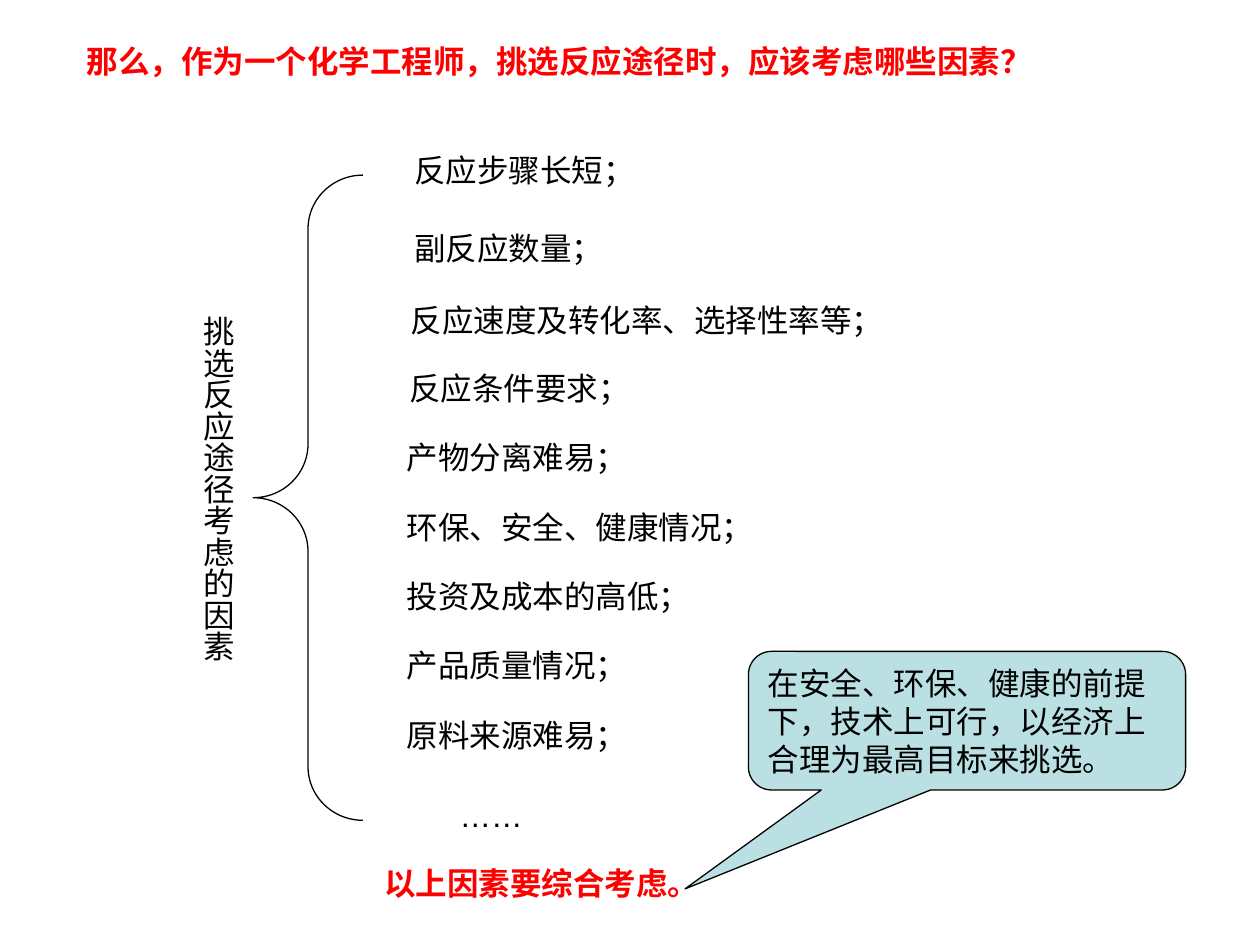
from pptx import Presentation
from pptx.dml.color import RGBColor
from pptx.enum import shapes, text
from pptx.util import Inches, Pt

COLORS = {"ink": "000000", "accent": "FF0000", "callout": "BBE0E3"}
FONT = "Arial"
ROW_HEIGHT = 0.4
FACTOR_LEFT = 3.13
FACTOR_STEP = 0.55

# The upper rows are spaced by hand: text, left, top, width
UPPER_FACTORS = [
    ("反应步骤长短；", 3.19, 1.15, 2.12),
    ("副反应数量；", 3.19, 1.77, 2.12),
    ("反应速度及转化率、选择性率等；", 3.16, 2.34, 3.98),
    ("反应条件要求；", 3.15, 2.88, 2.12),
]
# The lower rows share one left edge and one step: text, width
LOWER_FACTORS = [
    ("产物分离难易；", 2.12),
    ("环保、安全、健康情况；", 2.97),
    ("投资及成本的高低；", 2.5),
    ("产品质量情况；", 2.12),
    ("原料来源难易；", 2.12),
]


def color(name):
    return RGBColor.from_string(COLORS[name])


def write(shape, words, ink="ink", bold=False):
    frame = shape.text_frame
    frame.word_wrap = True
    frame.auto_size = text.MSO_AUTO_SIZE.NONE
    frame.vertical_anchor = text.MSO_ANCHOR.TOP
    para = frame.paragraphs[0]
    para.text = words
    para.alignment = text.PP_ALIGN.LEFT
    para.line_spacing = 1.0
    para.space_before = Pt(0)
    para.font.name = FONT
    para.font.size = Pt(18)
    para.font.bold = bold
    para.font.color.rgb = color(ink)


def set_title(page, words):
    title = page.shapes.title
    title.left, title.top = Inches(0.59), Inches(0.28)
    title.width, title.height = Inches(8.35), Inches(ROW_HEIGHT)
    write(title, words, "accent", bold=True)


def add_label(page, words, left, top, width, height=ROW_HEIGHT, **style):
    box = page.shapes.add_textbox(Inches(left), Inches(top), Inches(width), Inches(height))
    write(box, words, **style)
    return box


def add_vertical_label(page, words, left, top, width, height):
    """Add a label whose East Asian characters stand upright in a column."""
    box = add_label(page, words, left, top, width, height)
    frame = box.text_frame
    frame.margin_left = frame.margin_right = Inches(0.05)
    frame.margin_top = frame.margin_bottom = Inches(0.1)
    frame._txBody.bodyPr.set("vert", "eaVert")


def add_outlined(page, kind, left, top, width, height, adjustments, fill=None):
    shape = page.shapes.add_shape(
        kind, Inches(left), Inches(top), Inches(width), Inches(height))
    shape.shadow.inherit = False
    for index, value in enumerate(adjustments):
        shape.adjustments[index] = value
    if fill:
        shape.fill.solid()
        shape.fill.fore_color.rgb = color(fill)
    else:
        shape.fill.background()
    shape.line.color.rgb = color("ink")
    shape.line.width = Pt(0.75)
    return shape


def add_factors(page):
    for words, left, top, width in UPPER_FACTORS:
        add_label(page, words, left, top, width)
    for row, (words, width) in enumerate(LOWER_FACTORS):
        add_label(page, words, FACTOR_LEFT, 3.43 + row * FACTOR_STEP, width)
    add_label(page, "……", 3.55, 6.27, 1.29)


def main():
    deck = Presentation()
    deck.slide_width, deck.slide_height = Inches(10), Inches(7.5)
    page = deck.slides.add_slide(deck.slide_layouts[5])

    set_title(page, "那么，作为一个化学工程师，挑选反应途径时，应该考虑哪些因素？")
    add_vertical_label(page, "挑选反应途径考虑的因素", 1.43, 2.41, 0.5, 2.99)
    add_outlined(page, shapes.MSO_SHAPE.LEFT_BRACE, 2.01, 1.39, 0.87, 5.12, (0.49, 0.5))
    add_factors(page)
    add_label(page, "以上因素要综合考虑。", 2.95, 6.81, 3.07, ink="accent", bold=True)
    callout = add_outlined(
        page, shapes.MSO_SHAPE.ROUNDED_RECTANGULAR_CALLOUT,
        5.94, 5.17, 3.47, 1.1, (-0.645, 1.214, 0.167), fill="callout")
    write(callout, "在安全、环保、健康的前提下，技术上可行，以经济上合理为最高目标来挑选。")

    deck.save("out.pptx")


if __name__ == "__main__":
    main()
